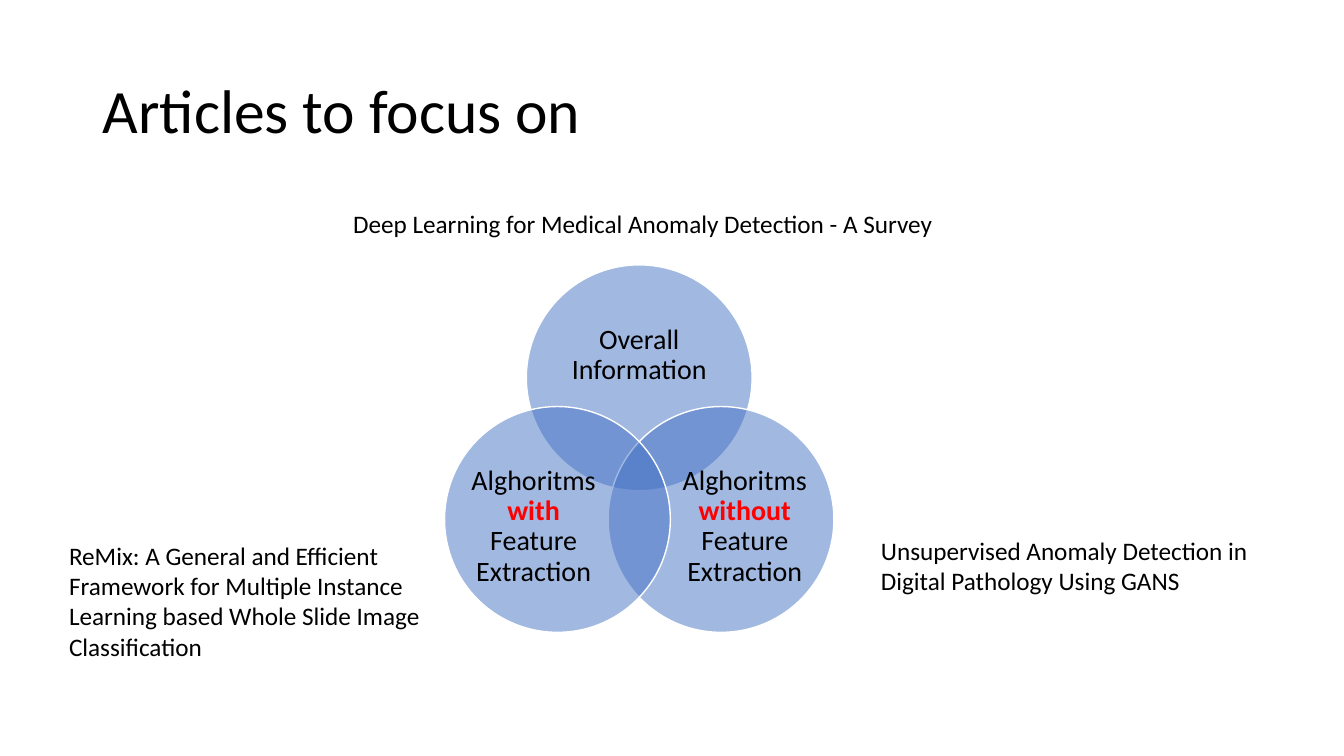
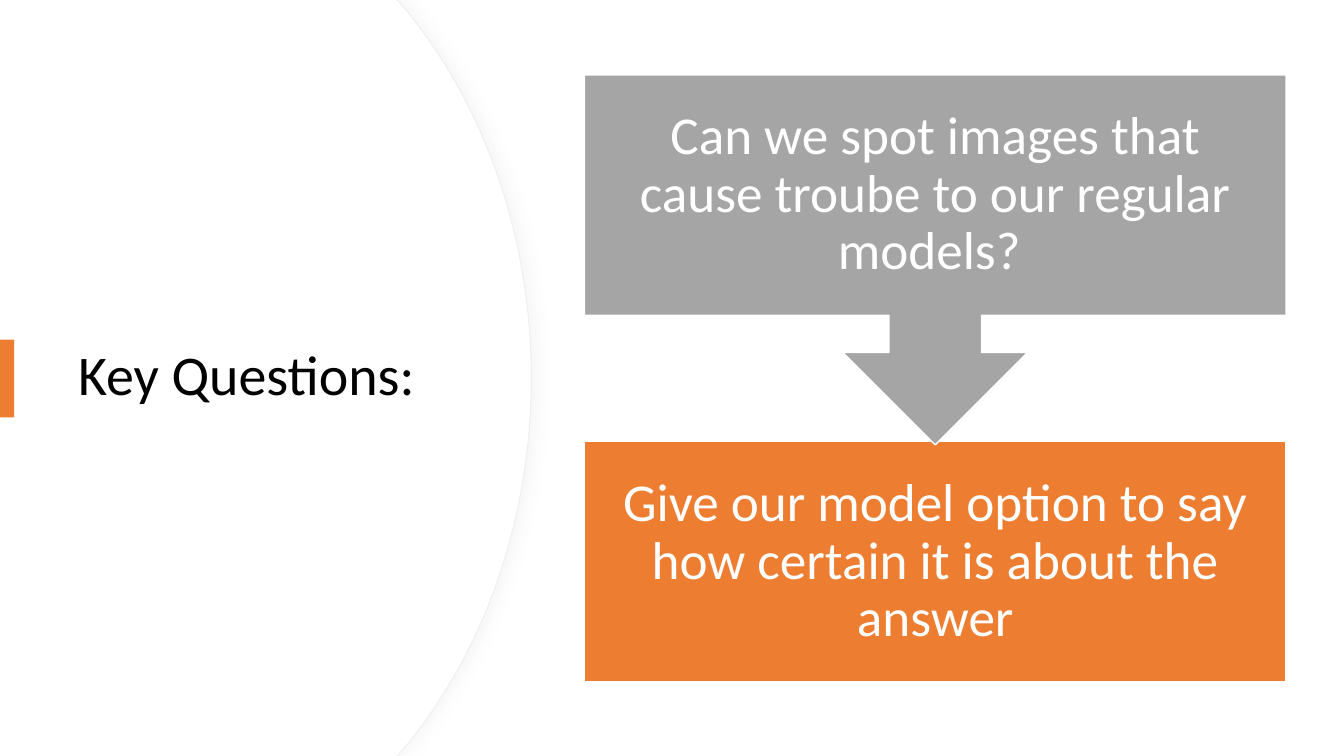
from math import cos, radians, sin

from lxml.etree import Element, SubElement
from pptx import Presentation
from pptx.dml.color import RGBColor
from pptx.enum.shapes import MSO_SHAPE
from pptx.enum.text import MSO_ANCHOR, MSO_AUTO_SIZE, PP_ALIGN
from pptx.oxml.ns import qn
from pptx.util import Cm, Pt

COLORS = {
    "black": "000000",
    "white": "FFFFFF",
    "blue": "4472C4",
    "red": "FF0000",
    "orange": "ED7D31",
    "gray": "A5A5A5",
    "edge": "EFEFEF",
    "shadow": "D9D9D9",
}
FONT = "Calibri"
BLANK_LAYOUT = 6
SIDES = ("left", "top", "right", "bottom")


def color(name):
    return RGBColor.from_string(COLORS[name])


def set_all(target, values):
    for name, value in values.items():
        setattr(target, name, value)


def bend(shape, first_segments):
    """Turn each run of three straight segments into one cubic curve."""
    segments = list(shape.element.iter(qn("a:lnTo")))
    for first in first_segments:
        trio = segments[first:first + 3]
        curve = Element(qn("a:cubicBezTo"))
        trio[0].addprevious(curve)
        for segment in trio:
            curve.append(segment[0])
            segment.getparent().remove(segment)


class SlideBuilder:
    def __init__(self):
        self.deck = Presentation()
        set_all(self.deck, {"slide_width": Cm(33.87), "slide_height": Cm(19.05)})
        self.slide = None

    def new_slide(self):
        self.slide = self.deck.slides.add_slide(self.deck.slide_layouts[BLANK_LAYOUT])

    def paint(self, shape, fill, line=None, width=1, opacity=None):
        shape.shadow.inherit = False
        shape.fill.solid()
        shape.fill.fore_color.rgb = color(fill)
        if opacity is not None:
            tint = shape.element.spPr.find(qn("a:solidFill"))[0]
            SubElement(tint, qn("a:alpha"), val=str(opacity * 1000))
        if line:
            shape.line.color.rgb = color(line)
            shape.line.width = Pt(width)
        else:
            shape.line.fill.background()

    def shape(self, kind, place, fill, **style):
        shape = self.slide.shapes.add_shape(kind, *map(Cm, place))
        self.paint(shape, fill, **style)
        return shape

    def text(self, place, spans, size, ink="black", align=PP_ALIGN.LEFT,
             anchor=MSO_ANCHOR.MIDDLE, spacing=0.9, inset=None, grow=False):
        """Add a text box; each span is a text and whether it is emphasised."""
        box = self.slide.shapes.add_textbox(*map(Cm, place))
        frame = box.text_frame
        set_all(frame, {
            "word_wrap": True,
            "vertical_anchor": anchor,
            "auto_size": MSO_AUTO_SIZE.SHAPE_TO_FIT_TEXT if grow else MSO_AUTO_SIZE.NONE,
        })
        if inset is not None:
            set_all(frame, {f"margin_{side}": Cm(inset) for side in SIDES})
        para = frame.paragraphs[0]
        set_all(para, {"alignment": align, "line_spacing": spacing})
        for words, emphasised in spans:
            span = para.add_run()
            span.text = words
            set_all(span.font, {"name": FONT, "size": Pt(size), "bold": emphasised})
            span.font.color.rgb = color("red" if emphasised else ink)

    def title(self, place, words, size):
        self.text(place, [(words, False)], size)

    def caption(self, place, words):
        self.text(place, [(words, False)], 18, anchor=MSO_ANCHOR.TOP,
                  spacing=1.0, grow=True)

    def label(self, place, spans, size, ink="black", inset=0):
        self.text(place, spans, size, ink, PP_ALIGN.CENTER, inset=inset)

    def curved_panel(self, shift, fill, **style):
        """Add the left panel, its curved edge mirrored top to bottom."""
        height = 19.05
        upper = [(10.01, 0), (10.19, 0.2), (12.17, 2.59), (13.39, 5.89),
                 (13.39, height / 2)]
        upper = [(x + shift, y) for x, y in upper]
        lower = [(x, height - y) for x, y in reversed(upper[:-1])]
        points = [(Cm(x), Cm(y)) for x, y in upper + lower + [(0, height)]]
        builder = self.slide.shapes.build_freeform(0, 0)
        builder.add_line_segments(points, close=True)
        panel = builder.convert_to_shape()
        bend(panel, (2, 5))
        self.paint(panel, fill, **style)
        return panel

    def soft_shadow(self, shape, blur, distance, opacity):
        effects = shape.element.spPr.find(qn("a:effectLst"))
        shadow = SubElement(effects, qn("a:outerShdw"), blurRad=str(Pt(blur)),
                            dist=str(Pt(distance)), dir="0")
        tint = SubElement(shadow, qn("a:srgbClr"), val=COLORS["shadow"])
        SubElement(tint, qn("a:alpha"), val=str(opacity * 1000))


def build_articles(page):
    page.new_slide()
    page.title((2.34, 1.02, 29.2, 3.68), "Articles to focus on", 44)

    center_x, center_y, orbit, diameter = 16.11, 11.9, 2.38, 5.69
    # Spans, then label size and its offset from the circle's centre
    circles = [
        ([("Overall Information", False)], (4.17, 2.57), (0, -0.57)),
        ([("Alghoritms ", False), ("without ", True), ("Feature Extraction", False)],
         (3.43, 3.12), (0.6, 0.18)),
        ([("Alghoritms ", False), ("with ", True), ("Feature Extraction", False)],
         (3.43, 3.12), (-0.6, 0.18)),
    ]
    for index, (spans, (width, height), (shift_x, shift_y)) in enumerate(circles):
        angle = radians(120 * index - 90)
        x = center_x + orbit * cos(angle)
        y = center_y + orbit * sin(angle)
        page.shape(MSO_SHAPE.OVAL,
                   (x - diameter / 2, y - diameter / 2, diameter, diameter),
                   "blue", line="white", opacity=50)
        page.label((x + shift_x - width / 2, y + shift_y - height / 2, width, height),
                   spans, 20)

    page.caption((8.65, 5.12, 16.56, 1.02),
                 "Deep Learning for Medical Anomaly Detection - A Survey")
    page.caption((21.95, 13.36, 11.02, 1.8),
                 "Unsupervised Anomaly Detection in Digital Pathology Using GANS")
    page.caption((1.49, 13.49, 9.86, 3.33),
                 "ReMix: A General and Efficient Framework for Multiple Instance "
                 "Learning based Whole Slide Image Classification")


def build_questions(page):
    page.new_slide()
    rim = page.curved_panel(0, "white", line="edge", width=0.75)
    page.soft_shadow(rim, blur=9, distance=4, opacity=20)
    page.curved_panel(-0.03, "white")
    page.title((1.72, 3.23, 10, 12.57), "Key Questions:", 40)
    page.shape(MSO_SHAPE.RECTANGLE, (0, 8.56, 0.36, 1.96), "orange")

    left, width, height = 14.73, 17.68, 6.06
    steps = [
        (11.13, height, MSO_SHAPE.RECTANGLE, "orange", 0,
         "Give our model option to say how certain it is about the answer"),
        (1.89, 9.32, MSO_SHAPE.UP_ARROW_CALLOUT, "gray", 180,
         "Can we spot images that cause troube to our regular models? "),
    ]
    for top, full_height, kind, fill, rotation, words in steps:
        step = page.shape(kind, (left, top, width, full_height), fill, line="white")
        step.rotation = rotation
        page.label((left, top, width, height), [(words, False)], 38, "white", 0.76)


def main():
    page = SlideBuilder()
    build_articles(page)
    build_questions(page)
    page.deck.save("out.pptx")


if __name__ == "__main__":
    main()
